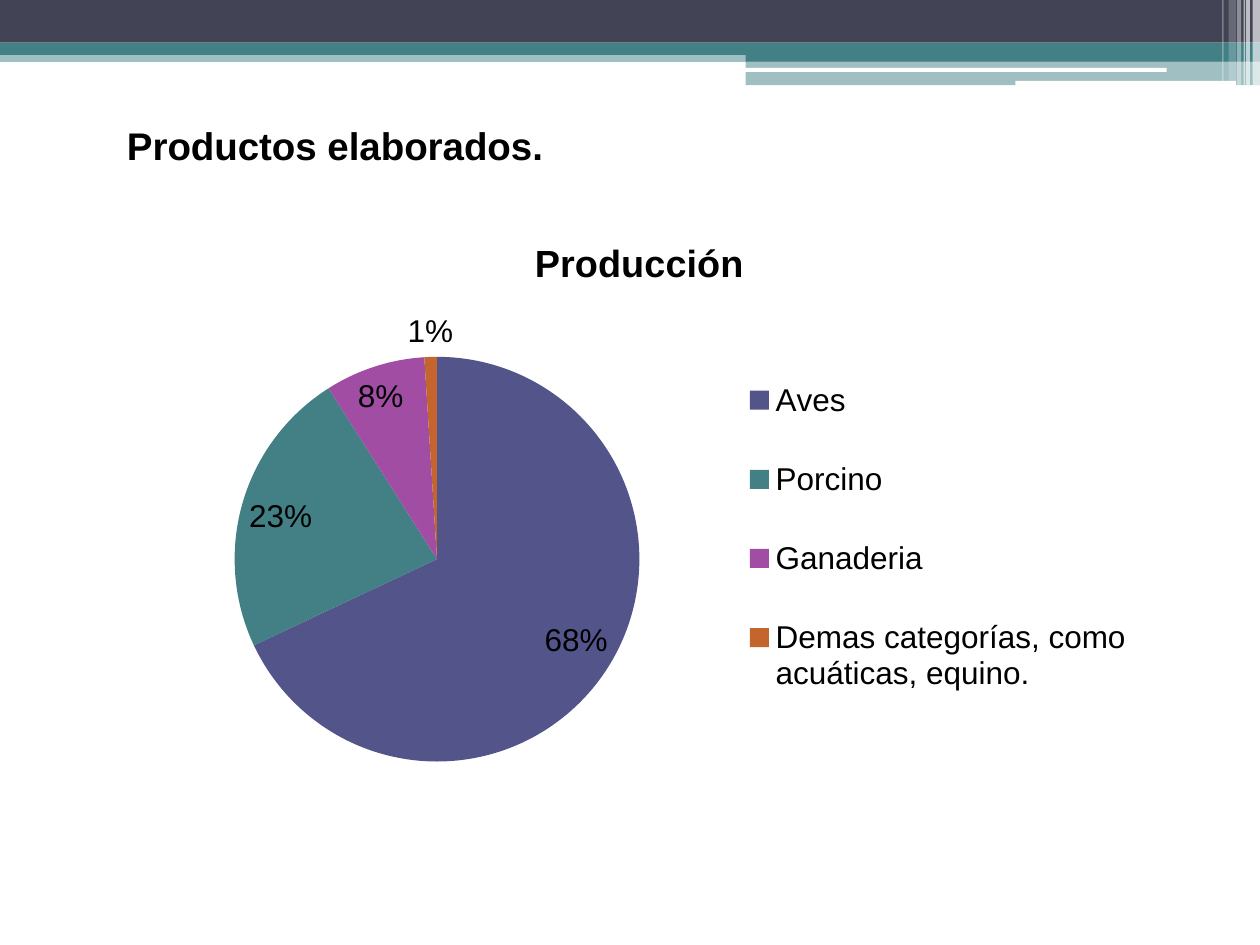
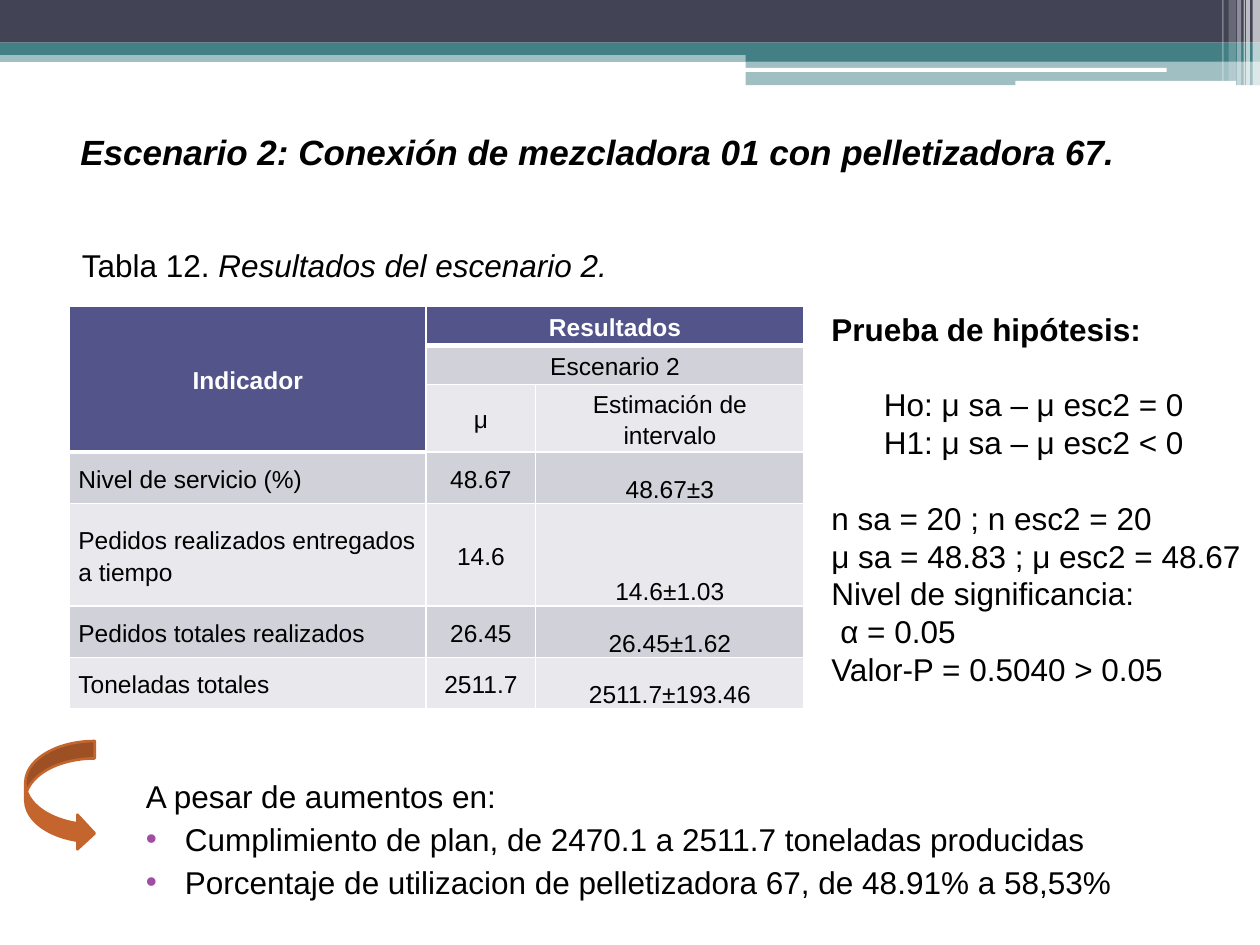
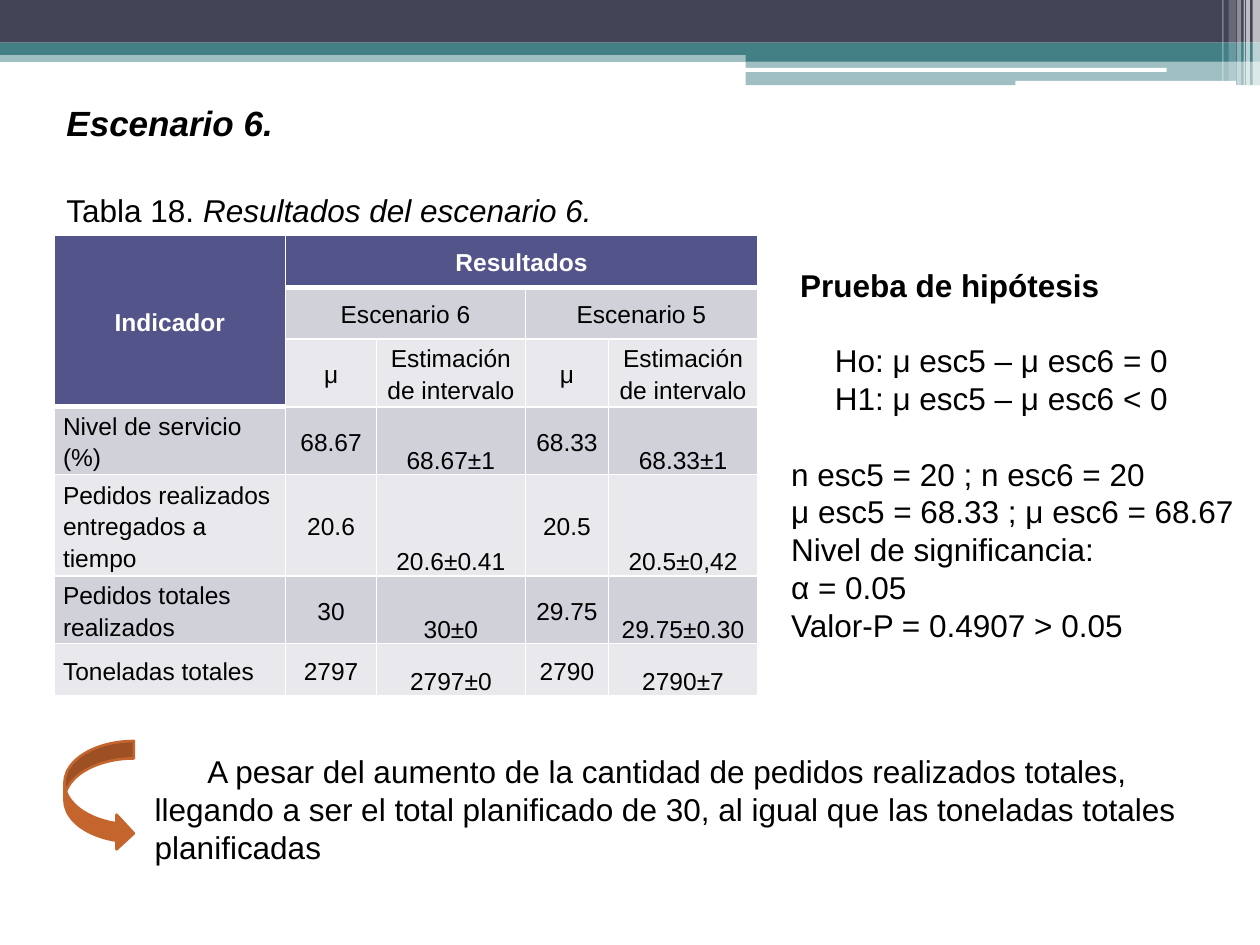
"""Build three slides on production and scenario results."""
from dataclasses import dataclass

from lxml import etree
from pptx import Presentation
from pptx import util as u
from pptx.chart.data import CategoryChartData
from pptx.dml.color import RGBColor
from pptx.enum import chart as charts, shapes, text
from pptx.oxml import ns

FONT = "Arial"
BLACK = RGBColor(0x00, 0x00, 0x00)
WHITE = RGBColor(0xFF, 0xFF, 0xFF)
SLATE = RGBColor(0x42, 0x44, 0x56)
TEAL = RGBColor(0x43, 0x80, 0x86)
INDIGO = RGBColor(0x53, 0x54, 0x8A)
PURPLE = RGBColor(0xA0, 0x4D, 0xA3)
ORANGE = RGBColor(0xC4, 0x65, 0x2D)
DARK_ROW = RGBColor(0xD1, 0xD1, 0xDA)
LIGHT_ROW = RGBColor(0xE9, 0xE9, 0xED)
BLANK_LINE = 21.6


@dataclass(frozen=True)
class Band:
    """A plain bar of the header, in centimetres."""
    left: float
    top: float
    width: float
    height: float
    color: RGBColor
    opacity: int = 100
    rounded: bool = False


@dataclass(frozen=True)
class Para:
    """A paragraph whose tail may be set in italics."""
    content: str
    tail: str = ""
    size: float = 18
    bold: bool = False
    italic: bool = False
    before: float = 0
    margin: float = 0
    indent: float = 0
    bullet: bool = False
    justified: bool = False


@dataclass(frozen=True)
class Grid:
    """A results table, with its sizes in centimetres."""
    left: float
    top: float
    columns: tuple[float, ...]
    heights: tuple[float, ...]
    scenarios: tuple[str, ...]
    rows: tuple[tuple[str, ...], ...]


BANDS = (
    Band(0, 1.02, 25.4, 0.23, TEAL, 50),
    Band(0, 0, 25.4, 0.86, SLATE),
    Band(0, 0.86, 25.4, 0.25, TEAL),
    Band(15.03, 0.99, 10.37, 0.25, TEAL),
    Band(15.03, 1.23, 10.37, 0.49, TEAL, 50),
    Band(15.01, 1.37, 8.51, 0.08, WHITE, rounded=True),
    Band(20.47, 1.63, 4.45, 0.1, WHITE, rounded=True),
    Band(25.25, 0, 0.15, 1.73, WHITE, 65),
    Band(25.12, 0, 0.08, 1.73, WHITE, 65),
    Band(25.07, 0, 0.03, 1.73, WHITE, 60),
    Band(24.94, 0, 0.08, 1.73, WHITE, 40),
    Band(24.77, 0, 0.15, 1.63, WHITE, 20),
    Band(24.64, 0, 0.03, 1.63, WHITE, 30),
)

SCENARIO_2 = Grid(
    1.4, 6.17, (7.19, 2.21, 5.41),
    (0.79, 0.79, 1.04, 1.04, 2.06, 1.04, 1.04),
    ("Escenario 2",),
    (("Nivel de servicio (%)", "48.67", "48.67±3"),
     ("Pedidos realizados entregados a tiempo", "14.6", "14.6±1.03"),
     ("Pedidos totales realizados", "26.45", "26.45±1.62"),
     ("Toneladas totales", "2511.7", "2511.7±193.46")),
)
SCENARIO_6 = Grid(
    1.09, 4.75, (4.67, 1.83, 3, 1.68, 3),
    (1.04, 1.04, 1.37, 1.22, 1.88, 1.37, 1.04),
    ("Escenario 6", "Escenario 5"),
    (("Nivel de servicio (%)", "68.67", "68.67±1", "68.33", "68.33±1"),
     ("Pedidos realizados entregados a tiempo", "20.6", "20.6±0.41", "20.5", "20.5±0,42"),
     ("Pedidos totales realizados", "30", "30±0", "29.75", "29.75±0.30"),
     ("Toneladas totales", "2797", "2797±0", "2790", "2790±7")),
)


def add_child(parent, tag: str, **attributes: str):
    """Append a DrawingML or chart element and return it."""
    child = etree.SubElement(parent, ns.qn(tag))
    for name, value in attributes.items():
        child.set(name, value)
    return child


def style_font(font, size: float, color: RGBColor = BLACK, bold: bool = False,
               italic: bool = False) -> None:
    """Apply the deck's typeface with the given look."""
    font.name, font.size = FONT, u.Pt(size)
    font.bold, font.italic = bold, italic
    font.color.rgb = color


def draw_band(page, band: Band) -> None:
    """Draw one bar of the header."""
    kind = shapes.MSO_SHAPE.ROUNDED_RECTANGLE if band.rounded else shapes.MSO_SHAPE.RECTANGLE
    bar = page.shapes.add_shape(kind, u.Cm(band.left), u.Cm(band.top),
                                u.Cm(band.width), u.Cm(band.height))
    bar.shadow.inherit = False
    bar.fill.solid()
    bar.fill.fore_color.rgb = band.color
    bar.line.fill.background()
    if band.opacity < 100:
        color = bar.fill._xPr.find(".//" + ns.qn("a:srgbClr"))
        add_child(color, "a:alpha", val=str(band.opacity * 1000))


def add_page(deck):
    """Add a blank page with the header bands."""
    page = deck.slides.add_slide(deck.slide_layouts[6])
    for band in BANDS:
        draw_band(page, band)
    return page


def draw_text(page, left: float, top: float, width: float, height: float,
              *paras: Para) -> None:
    """Draw a wrapped text box, with lengths in centimetres."""
    box = page.shapes.add_textbox(u.Cm(left), u.Cm(top), u.Cm(width), u.Cm(height))
    frame = box.text_frame
    frame.word_wrap = True
    for index, para in enumerate(paras):
        paragraph = frame.paragraphs[0] if index == 0 else frame.add_paragraph()
        paragraph.text = para.content
        properties = paragraph._p.get_or_add_pPr()
        properties.set("marL", str(u.Cm(para.margin)))
        properties.set("indent", str(u.Cm(para.indent)))
        if para.bullet:
            color = add_child(properties, "a:buClr")
            add_child(color, "a:srgbClr", val=str(PURPLE))
            add_child(properties, "a:buFont", typeface=FONT)
            add_child(properties, "a:buChar", char="•")
        if para.before:
            paragraph.space_before = u.Pt(para.before)
        if para.justified:
            paragraph.alignment = text.PP_ALIGN.JUSTIFY
        style_font(paragraph.runs[0].font, para.size, bold=para.bold, italic=para.italic)
        if para.tail:
            span = paragraph.add_run()
            span.text = para.tail
            style_font(span.font, para.size, italic=True)


def style_cell(cell, row: int, column: int) -> None:
    """Set a results cell's borders, fill and text by its place."""
    header = row == 0 or (column == 0 and row < 3)
    properties = cell._tc.get_or_add_tcPr()
    for side in "LRTB":
        points = 3 if header and side == "B" else 1
        line = add_child(properties, f"a:ln{side}", w=str(u.Pt(points)))
        fill = add_child(line, "a:solidFill")
        add_child(fill, "a:srgbClr", val=str(WHITE))
    cell.fill.solid()
    cell.fill.fore_color.rgb = INDIGO if header else DARK_ROW if row % 2 else LIGHT_ROW
    cell.margin_left = cell.margin_right = u.Cm(0.18)
    cell.margin_top = cell.margin_bottom = 0
    interval = row > 2 and column > 0 and column % 2 == 0
    cell.vertical_anchor = text.MSO_ANCHOR.BOTTOM if interval else text.MSO_ANCHOR.MIDDLE
    paragraph = cell.text_frame.paragraphs[0]
    paragraph.line_spacing = 1.15
    if header or column:
        paragraph.alignment = text.PP_ALIGN.CENTER
    for span in paragraph.runs:
        style_font(span.font, 14, WHITE if header else BLACK, bold=header)


def draw_results(page, grid: Grid) -> None:
    """Draw a results table with its three heading rows."""
    count = len(grid.scenarios)
    names = [part for scenario in grid.scenarios for part in (scenario, "")]
    content = (
        ["Indicador", "Resultados"] + [""] * (2 * count - 1),
        ["", *names],
        [""] + ["μ", "Estimación de intervalo"] * count,
        *grid.rows,
    )
    table = page.shapes.add_table(
        len(content), len(grid.columns), u.Cm(grid.left), u.Cm(grid.top),
        u.Cm(sum(grid.columns)), u.Cm(sum(grid.heights))).table
    table.horz_banding = False
    for column, width in zip(table.columns, grid.columns):
        column.width = u.Cm(width)
    for row, height in zip(table.rows, grid.heights):
        row.height = u.Cm(height)
    table.cell(0, 0).merge(table.cell(2, 0))
    table.cell(0, 1).merge(table.cell(0, 2 * count))
    for column in range(1, 2 * count, 2):
        table.cell(1, column).merge(table.cell(1, column + 1))
    for row, values in enumerate(content):
        for column, value in enumerate(values):
            cell = table.cell(row, column)
            if value:
                cell.text_frame.text = value
            style_cell(cell, row, column)


def draw_arrow(page, left: float) -> None:
    """Draw the curved arrow that leads to the conclusion."""
    arrow = page.shapes.add_shape(shapes.MSO_SHAPE.CURVED_RIGHT_ARROW,
                                  u.Cm(left), u.Cm(14.94), u.Cm(1.4), u.Cm(2.21))
    arrow.shadow.inherit = False
    arrow.fill.solid()
    arrow.fill.fore_color.rgb = ORANGE
    arrow.line.color.rgb = ORANGE
    arrow.line.width = u.Pt(1.5)


def place_part(part, x: float, y: float, w: float, h: float, inner: bool = False) -> None:
    """Place a chart part by fractions of the chart's size."""
    for old in part.findall(ns.qn("c:layout")):
        part.remove(old)
    layout = etree.Element(ns.qn("c:layout"))
    manual = add_child(layout, "c:manualLayout")
    if inner:
        add_child(manual, "c:layoutTarget", val="inner")
    add_child(manual, "c:xMode", val="edge")
    add_child(manual, "c:yMode", val="edge")
    for name, value in (("x", x), ("y", y), ("w", w), ("h", h)):
        add_child(manual, f"c:{name}", val=str(value))
    position = part.find(ns.qn("c:legendPos"))
    if position is None:
        part.insert(0, layout)
    else:
        position.addnext(layout)


def draw_production(page) -> None:
    """Draw the pie of production by category."""
    data = CategoryChartData()
    data.categories = ("Aves", "Porcino", "Ganaderia",
                       "Demas categorías, como acuáticas, equino.")
    data.add_series("Series 1", (68, 23, 8, 1))
    chart = page.shapes.add_chart(charts.XL_CHART_TYPE.PIE, u.Cm(2.69), u.Cm(4.32),
                                  u.Cm(20.4), u.Cm(11.4), data).chart
    style_font(chart.font, 18)
    chart.has_title = True
    title = chart.chart_title.text_frame
    title.text = "Producción"
    style_font(title.paragraphs[0].runs[0].font, 21.6, bold=True)
    chart.has_legend = True
    chart.legend.position = charts.XL_LEGEND_POSITION.RIGHT
    chart.legend.include_in_layout = False
    style_font(chart.legend.font, 18)
    plot = chart.plots[0]
    plot.vary_by_categories = True
    for index, color in enumerate((INDIGO, TEAL, PURPLE, ORANGE)):
        fill = plot.series[0].points[index].format.fill
        fill.solid()
        fill.fore_color.rgb = color
    plot.has_data_labels = True
    labels = plot.data_labels
    labels.show_percentage = True
    labels.show_value = False
    labels.number_format, labels.number_format_is_linked = "0%", False
    labels.position = charts.XL_LABEL_POSITION.BEST_FIT
    style_font(labels.font, 18)
    root = chart._chartSpace
    place_part(root.find(".//" + ns.qn("c:plotArea")), 0.1, 0.25, 0.4, 0.72, inner=True)
    place_part(root.find(".//" + ns.qn("c:legend")), 0.6, 0.22, 0.39, 0.7)


def build_products(deck) -> None:
    """Build the page of products."""
    page = add_page(deck)
    draw_text(page, 2.31, 2.34, 14.61, 1.19,
              Para("Productos elaborados.", size=22, bold=True))
    draw_production(page)


def build_scenario_2(deck) -> None:
    """Build the page of scenario 2."""
    page = add_page(deck)
    draw_results(page, SCENARIO_2)
    draw_text(page, 1.37, 2.51, 22.81, 1.12,
              Para("Escenario 2: Conexión de mezcladora 01 con pelletizadora 67.",
                   size=20, bold=True, italic=True))
    draw_text(page, 16.51, 6.12, 8.89, 8.71,
              Para("Prueba de hipótesis:", bold=True),
              Para("Ho: μ sa – μ esc2 = 0", before=BLANK_LINE, margin=1.06),
              Para("H1: μ sa – μ esc2 < 0", margin=1.06),
              Para("n sa = 20 ; n esc2 = 20", before=BLANK_LINE),
              Para("μ sa = 48.83 ; μ esc2 = 48.67"),
              Para("Nivel de significancia:"),
              Para("α = 0.05", margin=0.18),
              Para("Valor-P = 0.5040 > 0.05"))
    draw_text(page, 1.4, 4.83, 14, 1.8,
              Para("Tabla 12. ", tail="Resultados del escenario 2."))
    points = ("Cumplimiento de plan, de 2470.1 a 2511.7 toneladas producidas",
              "Porcentaje de utilizacion de pelletizadora 67, de 48.91% a 58,53%")
    draw_text(page, 2.39, 15.54, 23.32, 2.77,
              Para("A pesar de aumentos en:", margin=0.3, justified=True),
              *(Para(point, before=3, margin=1.09, indent=-0.79, bullet=True, justified=True)
                for point in points))
    draw_arrow(page, 0.51)


def build_scenario_6(deck) -> None:
    """Build the page of scenario 6."""
    page = add_page(deck)
    draw_results(page, SCENARIO_6)
    draw_text(page, 1.09, 1.93, 7.01, 2.82,
              Para("Escenario 6.", size=20, bold=True, italic=True))
    draw_text(page, 15.7, 5.23, 11.2, 8.71,
              Para("Prueba de hipótesis", bold=True, margin=0.18),
              Para("Ho: μ esc5 – μ esc6 = 0", before=BLANK_LINE, margin=0.88),
              Para("H1: μ esc5 – μ esc6 < 0", margin=0.88),
              Para("n esc5 = 20 ; n esc6 = 20", before=BLANK_LINE),
              Para("μ esc5 = 68.33 ; μ esc6 = 68.67"),
              Para("Nivel de significancia:"),
              Para("α = 0.05"),
              Para("Valor-P = 0.4907 > 0.05"))
    draw_text(page, 1.09, 3.73, 14, 1.8,
              Para("Tabla 18. ", tail="Resultados del escenario 6."))
    draw_text(page, 2.87, 15.04, 22.05, 2.57,
              Para("A pesar del aumento de la cantidad de pedidos realizados totales, "
                   "llegando a ser el total planificado de 30, al igual que las toneladas "
                   "totales planificadas", indent=1.06))
    draw_arrow(page, 1.3)


def main() -> None:
    """Build and save the deck."""
    deck = Presentation()
    deck.slide_width, deck.slide_height = u.Cm(25.4), u.Cm(19.05)
    build_products(deck)
    build_scenario_2(deck)
    build_scenario_6(deck)
    deck.save("out.pptx")


if __name__ == "__main__":
    main()
